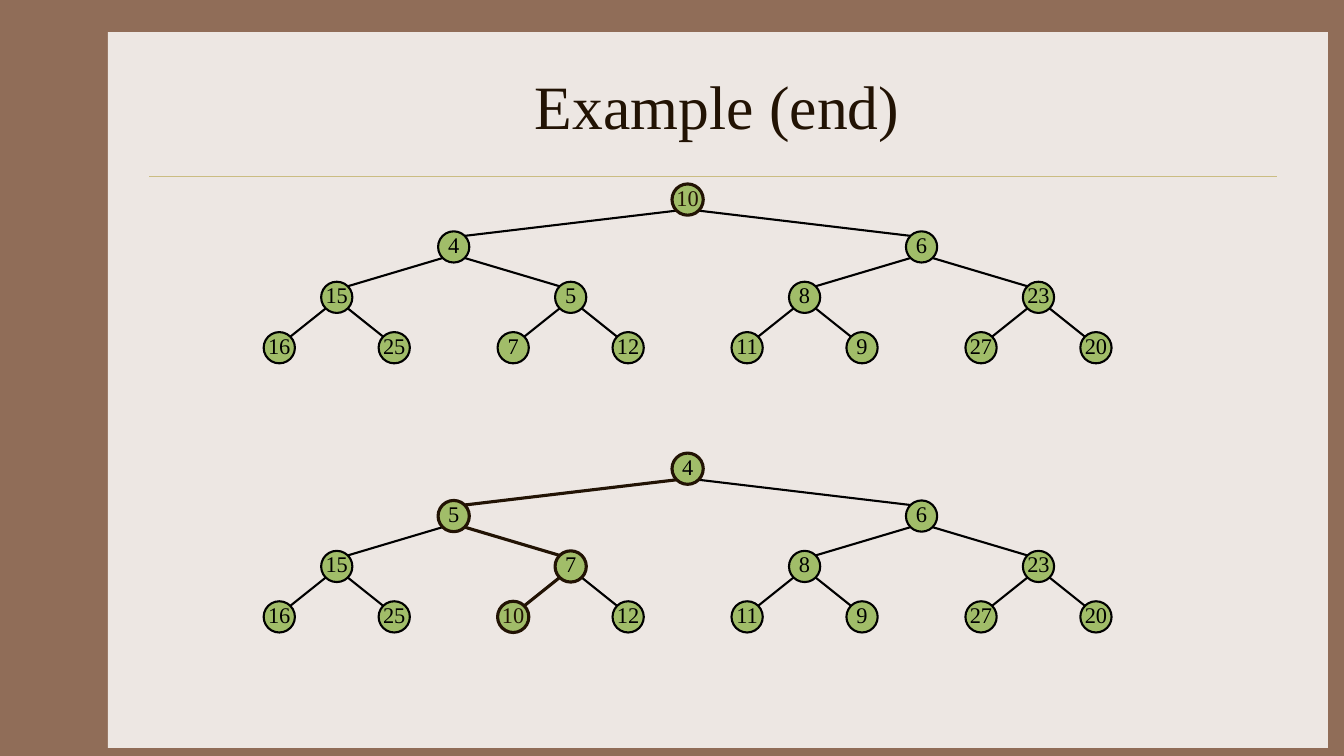
"""Build the "Example (end)" slide: a heap before and after sifting down its root."""
from lxml.etree import SubElement
from pptx import Presentation
from pptx.dml.color import RGBColor
from pptx.enum.shapes import MSO_CONNECTOR, MSO_SHAPE
from pptx.enum.text import MSO_ANCHOR, PP_ALIGN
from pptx.oxml.ns import qn
from pptx.util import Inches, Pt

COLORS = {
    "frame": "906D58",
    "panel": "EDE7E3",
    "rule": "CBBD83",
    "node": "A1BD69",
    "plain": "000000",
    "accent": "221304",
}
FONT = "Times New Roman"
DIAMETER = 0.31
EDGE_OFFSET = 0.11
ROOT_X = 6.82
CHILD_SPREAD = [2.32, 1.16, 0.57]
LEVEL_DROP = [0.47, 0.5, 0.5]

HEAPS = [
    (1.98, [10, 4, 6, 15, 5, 8, 23, 16, 25, 7, 12, 11, 9, 27, 20], {1}),
    (4.65, [4, 5, 6, 15, 7, 8, 23, 16, 25, 10, 12, 11, 9, 27, 20], {1, 2, 5, 10}),
]


def rgb(name):
    return RGBColor.from_string(COLORS[name])


def add_line(start, end, color, width):
    line = slide.shapes.add_connector(
        MSO_CONNECTOR.STRAIGHT, *(Inches(value) for value in (*start, *end))
    )
    line.line.color.rgb = rgb(color)
    line.line.width = Pt(width)
    SubElement(line._element.spPr, qn("a:effectLst"))


presentation = Presentation()
presentation.slide_width = Inches(13.33)
presentation.slide_height = Inches(7.5)
slide = presentation.slides.add_slide(presentation.slide_layouts[5])
slide.background.fill.solid()
slide.background.fill.fore_color.rgb = rgb("frame")

panel = slide.shapes.add_shape(
    MSO_SHAPE.RECTANGLE, Inches(1.07), Inches(0.32), Inches(12.1), Inches(7.1)
)
panel.shadow.inherit = False
panel.fill.solid()
panel.fill.fore_color.rgb = rgb("panel")
panel.line.fill.background()
add_line((1.48, 1.75), (12.67, 1.75), "rule", 0.25)

title = slide.shapes.title
panel.element.getparent().append(title.element)
title.left, title.top = Inches(1.56), Inches(0.42)
title.width, title.height = Inches(11.11), Inches(1.25)
title.text_frame.text = "Example (end)"
title.text_frame.vertical_anchor = MSO_ANCHOR.MIDDLE
heading = title.text_frame.paragraphs[0]
heading.alignment = PP_ALIGN.CENTER
heading.font.name = FONT
heading.font.size = Pt(44)
heading.font.color.rgb = rgb("accent")

for root_y, keys, sift_path in HEAPS:
    centers = {1: (ROOT_X, root_y)}
    for index in range(2, len(keys) + 1):
        level = index.bit_length() - 2
        side = 1 if index % 2 else -1
        parent_x, parent_y = centers[index // 2]
        x = parent_x + side * CHILD_SPREAD[level]
        y = parent_y + LEVEL_DROP[level]
        centers[index] = (x, y)
        color, width = ("accent", 2.25) if index in sift_path else ("plain", 1.5)
        add_line(
            (parent_x + side * EDGE_OFFSET, parent_y + EDGE_OFFSET),
            (x - side * EDGE_OFFSET, y - EDGE_OFFSET),
            color,
            width,
        )

    for index, key in enumerate(keys, start=1):
        x, y = centers[index]
        node = slide.shapes.add_shape(
            MSO_SHAPE.OVAL,
            Inches(x - DIAMETER / 2),
            Inches(y - DIAMETER / 2),
            Inches(DIAMETER),
            Inches(DIAMETER),
        )
        node.shadow.inherit = False
        node.fill.solid()
        node.fill.fore_color.rgb = rgb("node")
        node.line.color.rgb = rgb("accent" if index in sift_path else "plain")
        node.line.width = Pt(2.25 if index in sift_path else 1.5)
        frame = node.text_frame
        frame.word_wrap = False
        frame.vertical_anchor = MSO_ANCHOR.MIDDLE
        frame.margin_left = frame.margin_right = frame.margin_top = 0
        frame.margin_bottom = Inches(0.05)
        frame.text = str(key)
        label = frame.paragraphs[0]
        label.alignment = PP_ALIGN.CENTER
        label.font.name = FONT
        label.font.size = Pt(16)
        label.font.color.rgb = rgb("accent" if key == 10 else "plain")

presentation.save("out.pptx")
